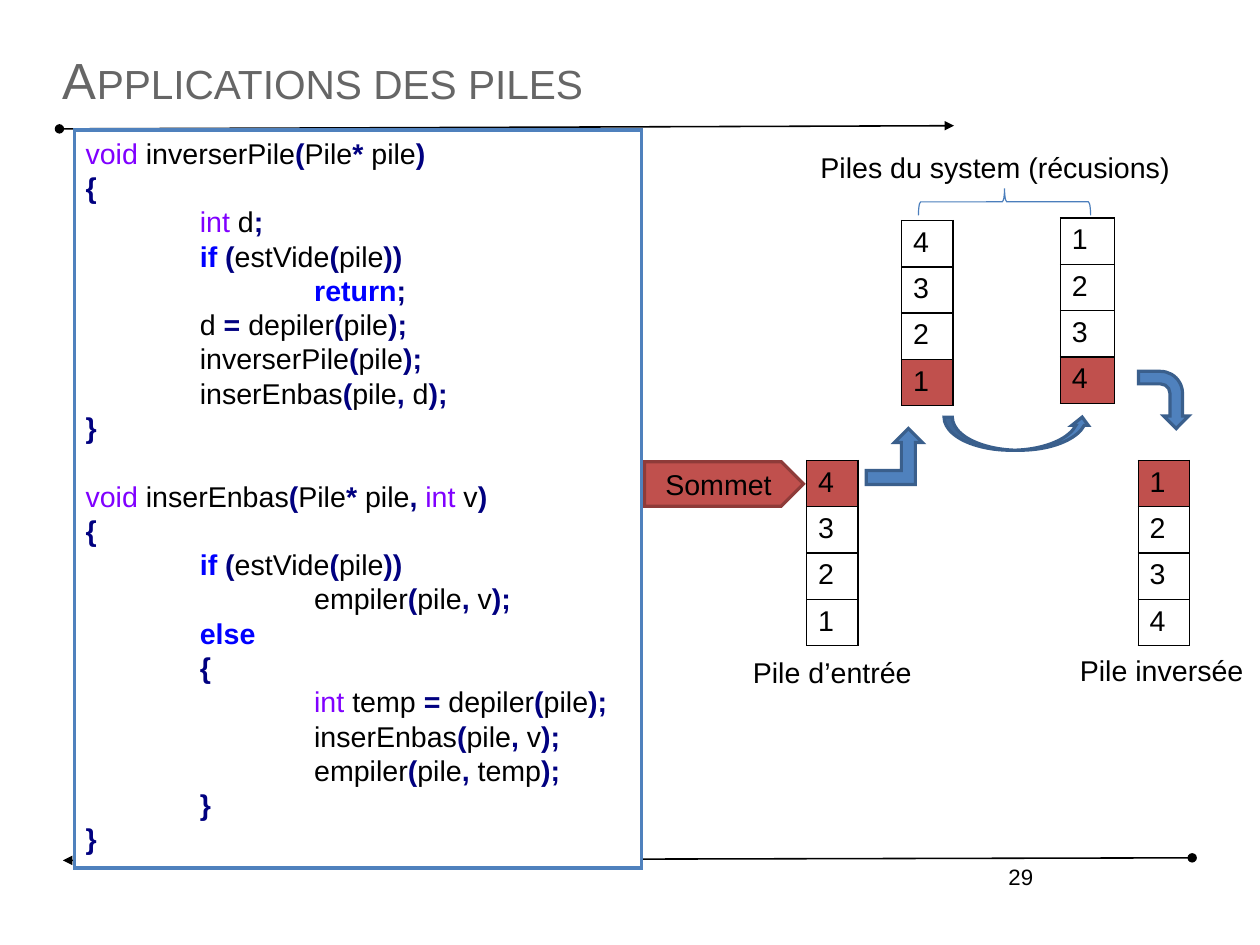
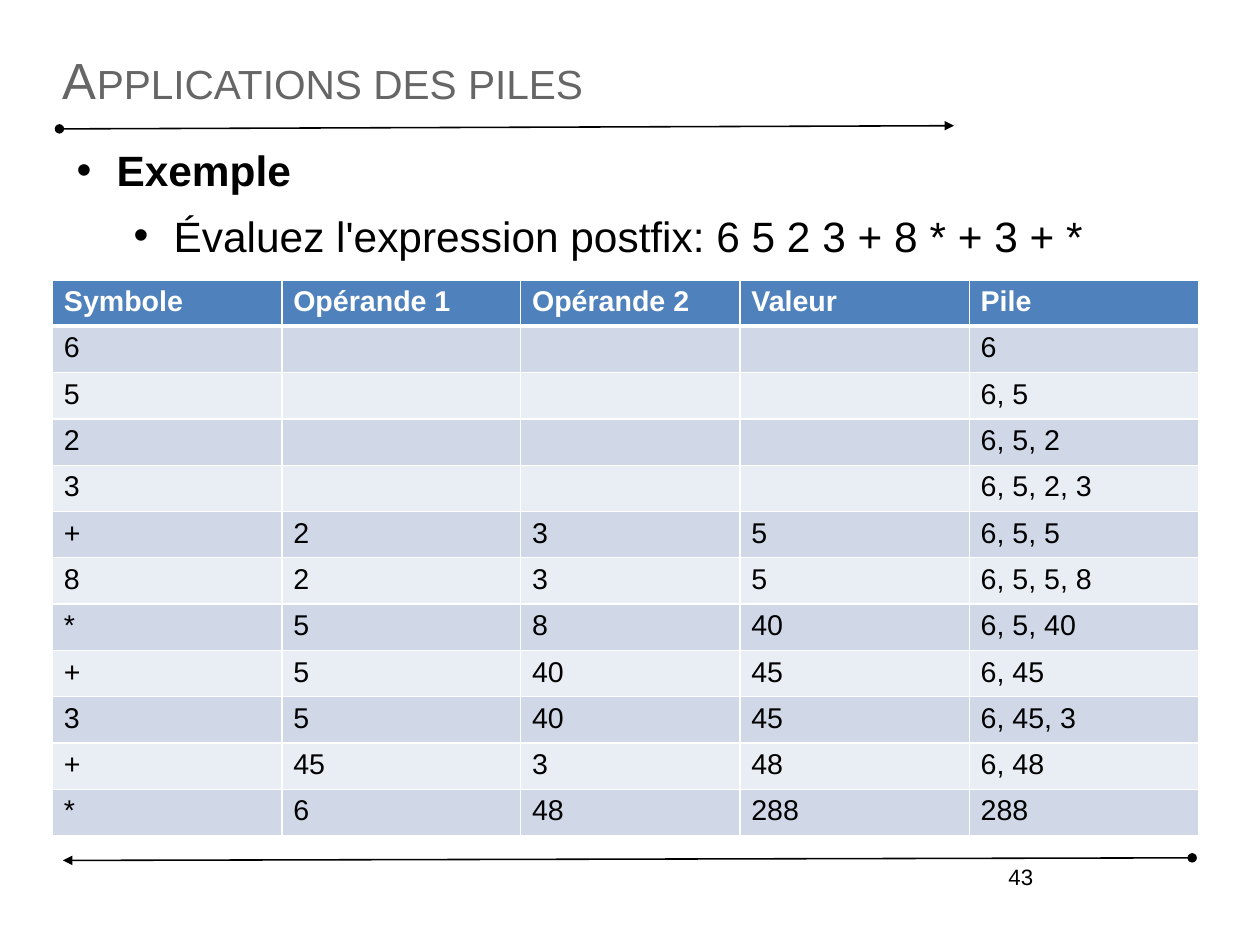
from dataclasses import dataclass
from itertools import groupby
from typing import Optional

from lxml.etree import SubElement
from pptx import Presentation
from pptx.dml.color import RGBColor
from pptx.enum.shapes import MSO_CONNECTOR, MSO_SHAPE as Preset
from pptx.enum.text import MSO_ANCHOR as Anchor, MSO_AUTO_SIZE, PP_ALIGN as Align
from pptx.oxml.ns import qn
from pptx.util import Cm, Inches, Pt

# Page grid: 100 columns by 100 rows
WIDTH, HEIGHT = Cm(28), Cm(21)
FONT = "Arial"
TEXT_SIZE = 18

BLACK = RGBColor(0x00, 0x00, 0x00)
WHITE = RGBColor(0xFF, 0xFF, 0xFF)
GREY = RGBColor(0x66, 0x66, 0x66)
BLUE = RGBColor(0x4F, 0x81, 0xBD)
DARK_BLUE = RGBColor(0x3A, 0x5F, 0x8C)
BRACE_BLUE = RGBColor(0x4B, 0x7E, 0xBC)
RED = RGBColor(0xC0, 0x50, 0x4D)
DARK_RED = RGBColor(0x8E, 0x3B, 0x39)
BAND_DARK = RGBColor(0xD0, 0xD8, 0xE8)
BAND_LIGHT = RGBColor(0xE9, 0xED, 0xF4)
TYPE_PURPLE = RGBColor(0x80, 0x00, 0xFF)
KEYWORD_BLUE = RGBColor(0x00, 0x00, 0xFF)
SYMBOL_NAVY = RGBColor(0x00, 0x00, 0x80)


@dataclass(frozen=True)
class Area:
    """A rectangle in grid columns and rows."""
    left: float
    top: float
    width: float
    height: float

    def lengths(self) -> tuple:
        return (across(self.left), down(self.top),
                across(self.width), down(self.height))


@dataclass(frozen=True)
class Rule:
    start: tuple
    end: tuple


@dataclass(frozen=True)
class Stack:
    left: float
    top: float
    width: float
    values: str
    red_row: int


@dataclass(frozen=True)
class Figure:
    preset: Preset
    area: Area
    fill: Optional[RGBColor]
    line: RGBColor
    weight: float = 2
    rotation: float = 0
    label: str = ""


@dataclass(frozen=True)
class Caption:
    text: str
    area: Area


TITLE = "Applications des piles"
TITLE_AREA = Area(4.99, 3.99, 90, 8.71)
NUMBER_AREA = Area(59.58, 90.78, 23.32, 6.89)
RULES = [Rule((4.72, 13.64), (75.72, 13.3)), Rule((94.62, 90.78), (4.99, 91.05))]

# One tab is one level of indent
CODE_AREA = Area(5.9, 13.75, 45, 78.11)
CODE_PITCH = Pt(21.6)
FUNCTIONS = ["""void inverserPile(Pile* pile)
{
\tint d;
\tif (estVide(pile))
\t\treturn;
\td = depiler(pile);
\tinverserPile(pile);
\tinserEnbas(pile, d);
}""", """void inserEnbas(Pile* pile, int v)
{
\tif (estVide(pile))
\t\tempiler(pile, v);
\telse
\t{
\t\tint temp = depiler(pile);
\t\tinserEnbas(pile, v);
\t\tempiler(pile, temp);
\t}
}"""]

STACK_ROW = 4.9
STACKS = [
    Stack(64.03, 48.73, 4.08, "4321", 0),
    Stack(71.56, 23.34, 4.08, "4321", 3),
    Stack(84.17, 23.08, 4.26, "1234", 3),
    Stack(90.34, 48.73, 4.08, "1234", 0),
]
CAPTIONS = [
    Caption("Piles du system (récusions)", Area(64.22, 15.24, 34.56, 4.84)),
    Caption("Pile d’entrée", Area(58.86, 68.68, 16.88, 4.84)),
    Caption("Pile inversée", Area(84.81, 68.54, 15.15, 4.84)),
]
FIGURES = [
    Figure(Preset.LEFT_BRACE, Area(78.65, 12.25, 2.14, 18.22),
           None, BRACE_BLUE, 0.75, 90),
    Figure(Preset.CURVED_UP_ARROW, Area(74.93, 44.14, 11.62, 3.51), BLUE, DARK_BLUE),
    Figure(Preset.BENT_UP_ARROW, Area(68.76, 45.34, 4.45, 5.93), BLUE, DARK_BLUE),
    Figure(Preset.BENT_ARROW, Area(90.08, 39.66, 4.54, 5.32),
           BLUE, DARK_BLUE, rotation=90),
    Figure(Preset.PENTAGON, Area(51.16, 48.85, 12.61, 4.72),
           RED, DARK_RED, label="Sommet"),
]

BULLET_AREA = Area(4.99, 15.24, 90, 12)
BULLETS = ["Exemple", "Évaluez l'expression postfix: 6 5 2 3 + 8 * + 3 + *"]
TRACE_LEFT, TRACE_TOP, TRACE_ROW = 4.17, 29.63, 4.9
TRACE_COLUMNS = [18.2, 18.95, 17.4, 18.2, 18.2]
TRACE = [
    ("Symbole", "Opérande 1", "Opérande 2", "Valeur", "Pile"),
    ("6", "", "", "", "6"),
    ("5", "", "", "", "6, 5"),
    ("2", "", "", "", "6, 5, 2"),
    ("3", "", "", "", "6, 5, 2, 3"),
    ("+", "2", "3", "5", "6, 5, 5"),
    ("8", "2", "3", "5", "6, 5, 5, 8"),
    ("*", "5", "8", "40", "6, 5, 40"),
    ("+", "5", "40", "45", "6, 45"),
    ("3", "5", "40", "45", "6, 45, 3"),
    ("+", "45", "3", "48", "6, 48"),
    ("*", "6", "48", "288", "288"),
]


def across(columns: float) -> int:
    return round(WIDTH * columns / 100)


def down(rows: float) -> int:
    return round(HEIGHT * rows / 100)


# Shared drawing helpers
def add_span(para, text: str, size: float = TEXT_SIZE,
             color: RGBColor = BLACK, bold: bool = False):
    span = para.add_run()
    span.text = text
    span.font.name = FONT
    span.font.size = Pt(size)
    span.font.bold = bold
    span.font.color.rgb = color
    return span


def clear_insets(frame) -> None:
    frame.margin_left = frame.margin_right = 0
    frame.margin_top = frame.margin_bottom = 0


def add_text_box(page, area: Area):
    box = page.shapes.add_textbox(*area.lengths())
    box.text_frame.word_wrap = True
    return box


def add_figure(page, figure: Figure):
    shape = page.shapes.add_shape(figure.preset, *figure.area.lengths())
    shape.shadow.inherit = False
    shape.rotation = figure.rotation
    if figure.fill is None:
        shape.fill.background()
    else:
        shape.fill.solid()
        shape.fill.fore_color.rgb = figure.fill
    shape.line.color.rgb = figure.line
    shape.line.width = Pt(figure.weight)
    SubElement(shape.line._get_or_add_ln(), qn("a:miter"), lim="800000")
    if figure.label:
        para = shape.text_frame.paragraphs[0]
        para.alignment = Align.CENTER
        add_span(para, figure.label)
    return shape


def add_rule(page, rule: Rule) -> None:
    (x1, y1), (x2, y2) = rule.start, rule.end
    line = page.shapes.add_connector(MSO_CONNECTOR.STRAIGHT, across(x1), down(y1),
                                     across(x2), down(y2))
    line.line.color.rgb = BLACK
    line.line.width = Pt(1)
    outline = line.line._get_or_add_ln()
    SubElement(outline, qn("a:headEnd"), type="oval")
    SubElement(outline, qn("a:tailEnd"), type="triangle")
    SubElement(line._element.spPr, qn("a:effectLst"))


def add_page(deck, number: str):
    page = deck.slides.add_slide(deck.slide_layouts[5])
    for rule in RULES:
        add_rule(page, rule)
    para = add_text_box(page, NUMBER_AREA).text_frame.paragraphs[0]
    para.alignment = Align.RIGHT
    add_span(para, number, 14)

    title = page.shapes.title
    title.left, title.top, title.width, title.height = TITLE_AREA.lengths()
    frame = title.text_frame
    frame.auto_size = MSO_AUTO_SIZE.NONE
    frame.vertical_anchor = Anchor.MIDDLE
    clear_insets(frame)
    para = frame.paragraphs[0]
    para.alignment = Align.LEFT
    add_span(para, TITLE, 32, GREY).font._element.set("cap", "small")
    return page


def add_grid(page, left: float, top: float, columns: list, row: float, count: int):
    area = Area(left, top, sum(columns), row * count)
    table = page.shapes.add_table(count, len(columns), *area.lengths()).table
    table.first_row = table.horz_banding = False
    for column, width in zip(table.columns, columns):
        column.width = across(width)
    for line in table.rows:
        line.height = down(row)
    return table


def fill_cell(cell, text: str, fill: RGBColor, border: RGBColor, color: RGBColor = BLACK,
              bold: bool = False, top: float = 1, bottom: float = 1) -> None:
    properties = cell._tc.get_or_add_tcPr()
    for side, weight in zip("LRTB", (1, 1, top, bottom)):
        edge = SubElement(properties, qn(f"a:ln{side}"), w=str(Pt(weight)))
        paint = SubElement(edge, qn("a:solidFill"))
        SubElement(paint, qn("a:srgbClr"), val=str(border))
    cell.fill.solid()
    cell.fill.fore_color.rgb = fill
    if text:
        add_span(cell.text_frame.paragraphs[0], text, color=color, bold=bold)


# Code listing
def character_kind(character: str) -> str:
    if character.isspace():
        return "space"
    return "word" if character.isalnum() else "symbol"


def add_code_line(para, line: str) -> None:
    code = line.lstrip("\t")
    para.alignment = Align.LEFT
    para.line_spacing = CODE_PITCH
    para._p.get_or_add_pPr().set("marL", str(Inches(len(line) - len(code))))
    for kind, characters in groupby(code, character_kind):
        token = "".join(characters)
        if kind == "symbol":
            add_span(para, token, color=SYMBOL_NAVY, bold=True)
        elif token in ("if", "else", "return"):
            add_span(para, token, color=KEYWORD_BLUE, bold=True)
        else:
            add_span(para, token, color=TYPE_PURPLE if token in ("void", "int") else BLACK)


def add_code(page) -> None:
    frame = add_figure(page, Figure(Preset.RECTANGLE, CODE_AREA, WHITE, BLUE)).text_frame
    frame.vertical_anchor = Anchor.TOP
    para = frame.paragraphs[0]
    for function in FUNCTIONS:
        for index, line in enumerate(function.split("\n")):
            if para.runs:
                para = frame.add_paragraph()
                para.space_before = CODE_PITCH if index == 0 else 0
            add_code_line(para, line)


# Slides
def build_inversion(deck) -> None:
    page = add_page(deck, "29")
    add_code(page)
    for stack in STACKS:
        table = add_grid(page, stack.left, stack.top, [stack.width],
                         STACK_ROW, len(stack.values))
        for index, value in enumerate(stack.values):
            fill_cell(table.cell(index, 0), value,
                      RED if index == stack.red_row else WHITE, BLACK)
    for caption in CAPTIONS:
        add_span(add_text_box(page, caption.area).text_frame.paragraphs[0], caption.text)
    for figure in FIGURES:
        add_figure(page, figure)


def build_postfix(deck) -> None:
    page = add_page(deck, "43")
    frame = add_text_box(page, BULLET_AREA).text_frame
    clear_insets(frame)
    for level, text in enumerate(BULLETS):
        para = frame.add_paragraph() if level else frame.paragraphs[0]
        para.level = level
        para.line_spacing = Pt(32)
        para.space_before = Pt(9.4 * level)
        properties = para._p.get_or_add_pPr()
        properties.set("marL", str(Inches(0.47 + 0.5 * level)))
        properties.set("indent", str(Inches(-0.35)))
        SubElement(properties, qn("a:buFont"), typeface=FONT)
        SubElement(properties, qn("a:buChar"), char="•")
        add_span(para, text, 26.7, bold=level == 0)

    table = add_grid(page, TRACE_LEFT, TRACE_TOP, TRACE_COLUMNS, TRACE_ROW, len(TRACE))
    for row, values in enumerate(TRACE):
        for column, value in enumerate(values):
            cell = table.cell(row, column)
            if row == 0:
                fill_cell(cell, value, BLUE, WHITE, WHITE, bold=True, bottom=3)
            else:
                fill_cell(cell, value, BAND_DARK if row % 2 else BAND_LIGHT, WHITE,
                          top=3 if row == 1 else 1)


def main() -> None:
    deck = Presentation()
    deck.slide_width, deck.slide_height = WIDTH, HEIGHT
    build_inversion(deck)
    build_postfix(deck)
    deck.save("out.pptx")


if __name__ == "__main__":
    main()
